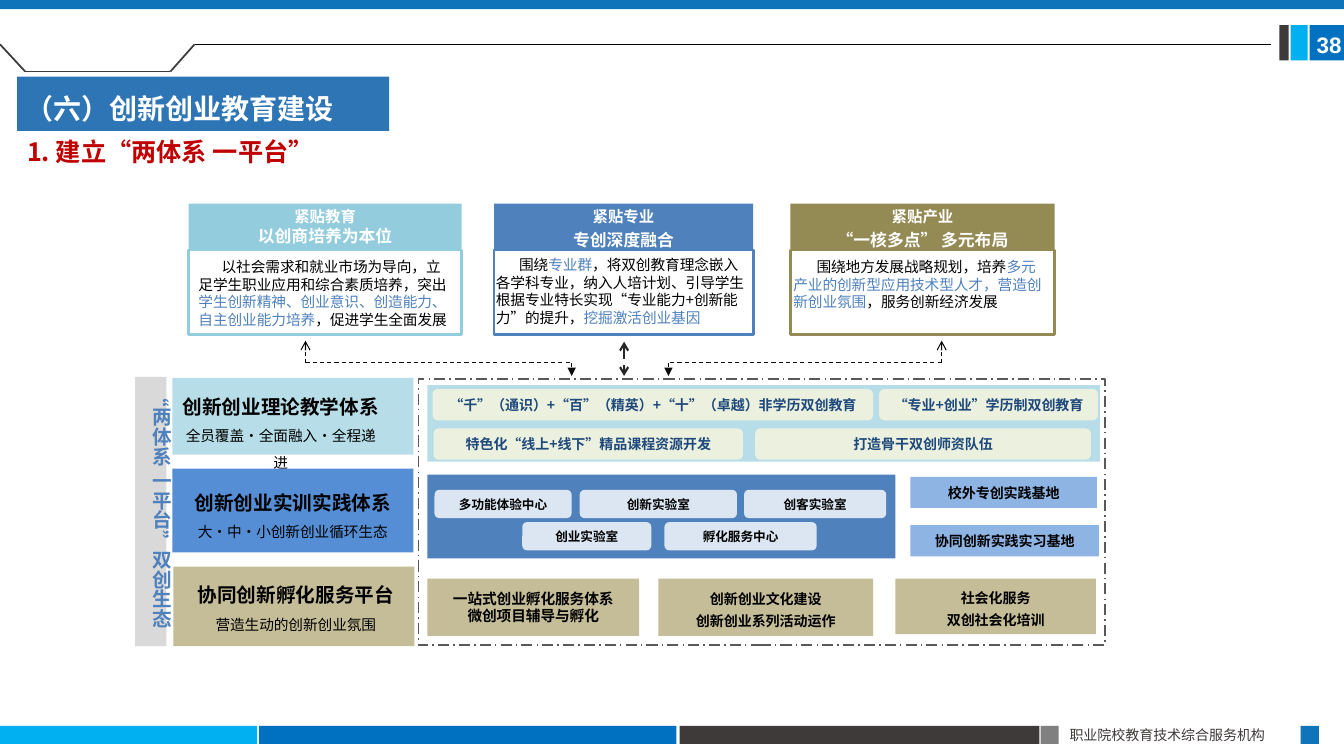
from lxml import etree
from pptx import Presentation
from pptx.dml.color import RGBColor
from pptx.enum.dml import MSO_LINE
from pptx.enum.shapes import MSO_CONNECTOR, MSO_SHAPE
from pptx.enum.text import MSO_ANCHOR, PP_ALIGN
from pptx.oxml.ns import qn
from pptx.util import Inches, Pt

RECTANGLE, ROUNDED = MSO_SHAPE.RECTANGLE, MSO_SHAPE.ROUNDED_RECTANGLE
STRAIGHT = MSO_CONNECTOR.STRAIGHT
DASH, LONG_DASH_DOT = MSO_LINE.DASH, MSO_LINE.LONG_DASH_DOT
TOP, MIDDLE = MSO_ANCHOR.TOP, MSO_ANCHOR.MIDDLE
LEFT, CENTER = PP_ALIGN.LEFT, PP_ALIGN.CENTER

# The grid has 1333 columns and 750 rows; every position below counts its cells.
CELL = Inches(0.01)
COLUMNS, ROWS = 1333, 750

THEME = {
    "font": "Noto Sans CJK SC",
    "number_font": "Arial",
    "colors": {
        "sky": "00B0F0", "blue": "0070C0", "bar": "1074BB", "charcoal": "3E3A39",
        "gray": "808080", "banner": "2E75B6", "aqua": "93CDDD", "steel": "4F81BD",
        "olive": "948A54", "pale_aqua": "B7DEE8", "bright": "558ED5", "khaki": "C4BD97",
        "light_blue": "8EB4E3", "ice": "DCE6F2", "cream": "EBF1DE", "silver": "D9D9D9",
        "black": "000000", "ink": "0D0D0D", "dark": "262626", "frame": "595959",
        "white": "FFFFFF", "navy": "1F497D", "red": "C00000",
    },
    # style: size, colour, bold
    "styles": {
        "page": (16, "white", True), "company": (10, "charcoal", False),
        "section": (20, "white", True), "heading": (18, "red", True),
        "card_top": (11, "white", True), "card_name": (12, "white", True),
        "body": (10.5, "black", False), "accent": (10.5, "steel", False),
        "spine": (14, "steel", True), "system": (14, "black", True),
        "course": (10, "navy", True), "room": (9, "black", True),
        "base": (10, "black", True), "service": (10.5, "black", True),
    },
}


def color(name):
    return RGBColor.from_string(THEME["colors"][name])


def block(area, paragraphs=(), fill=None, outline=None, kind=RECTANGLE, anchor=MIDDLE,
          align=CENTER, spacing=1.0, inset=(10, 5), indent=0, font=THEME["font"]):
    """Add a shape, or a text box when kind is None; paragraphs hold (text, style) runs."""
    place = [CELL * value for value in area]
    if kind is None:
        shape = slide.shapes.add_textbox(*place)
    else:
        shape = slide.shapes.add_shape(kind, *place)
        shape.shadow.inherit = False
        if fill:
            shape.fill.solid()
            shape.fill.fore_color.rgb = color(fill)
        else:
            shape.fill.background()
        if outline:
            shape.line.color.rgb = color(outline)
            shape.line.width = Pt(2)
        else:
            shape.line.fill.background()
    frame = shape.text_frame
    frame.word_wrap = True
    frame.vertical_anchor = anchor
    frame.margin_left = frame.margin_right = CELL * inset[0]
    frame.margin_top = frame.margin_bottom = CELL * inset[1]
    for index, runs in enumerate(paragraphs):
        paragraph = frame.add_paragraph() if index else frame.paragraphs[0]
        paragraph.alignment = align
        paragraph.line_spacing = spacing
        if indent:
            paragraph._p.get_or_add_pPr().set("indent", str(CELL * indent))
        for text, style in runs:
            size, tint, bold = THEME["styles"][style]
            run = paragraph.add_run()
            run.text = text
            run.font.size, run.font.bold, run.font.name = Pt(size), bold, font
            run.font.color.rgb = color(tint)
            east_asian = etree.SubElement(run._r.get_or_add_rPr(), qn("a:ea"))
            east_asian.set("typeface", font)
    return shape


def connect(start, end, tint, width, dash=None, head=None, tail=None):
    connector = slide.shapes.add_connector(STRAIGHT, *[CELL * value for value in start + end])
    connector.line.color.rgb = color(tint)
    connector.line.width = Pt(width)
    if dash:
        connector.line.dash_style = dash
    outline = connector.line._get_or_add_ln()
    for tag, arrow in (("a:headEnd", head), ("a:tailEnd", tail)):
        if arrow:
            etree.SubElement(outline, qn(tag)).set("type", arrow)
    etree.SubElement(connector._element.spPr, qn("a:effectLst"))


presentation = Presentation()
presentation.slide_width, presentation.slide_height = CELL * COLUMNS, CELL * ROWS
slide = presentation.slides.add_slide(presentation.slide_layouts[6])

# Page frame: footer, top bar, page marker and tab line
for left, width, fill in ((0, 255, "sky"), (257, 414, "blue"), (674, 357, "charcoal"),
                          (1032, 18, "gray"), (1290, 18, "bar")):
    block((left, 720, width, 18), fill=fill)
block((1051, 716, 240, 27), [[("职业院校教育技术综合服务机构", "company")]],
      kind=None, anchor=TOP, align=LEFT)
for left, width, fill in ((1299, 34, "blue"), (1280, 17, "sky"), (1269, 9, "charcoal")):
    block((left, 25, width, 35), fill=fill)
block((0, 0, COLUMNS, 9), fill="bar")
tab_points = [(0, 44), (25, 71), (169, 71), (193, 44)]
for start, end in zip(tab_points, tab_points[1:]):
    connect(start, end, "charcoal", 1.25)
connect((193, 44), (1261, 44), "black", 0.5)
block((1306, 31, 27, 27), [[("38", "page")]], kind=None, anchor=TOP, align=LEFT,
      inset=(0, 0), font=THEME["number_font"])

# Three principle cards: left, width, colour, line spacing, titles, body place, body runs
cards = [
    (187, 271, "aqua", 1.0, "紧贴教育", "以创商培养为本位", (187, 251, 271, 81), [
        ("以社会需求和就业市场为导向，立足学生职业应用和综合素质培养，突出", "body"),
        ("学生创新精神、创业意识、创造能力、自主创业能力培养", "accent"),
        ("，促进学生全面发展", "body")]),
    (490, 257, "steel", 1.2, "紧贴专业", "专创深度融合", (482, 249, 271, 81), [
        ("围绕", "body"), ("专业群", "accent"),
        ("，将双创教育理念嵌入各学科专业，纳入人培计划、引导学生根据专业特长实现"
         "“专业能力+创新能力”的提升，", "body"),
        ("挖掘激活创业基因", "accent")]),
    (784, 262, "olive", 1.2, "紧贴产业", "“一核多点” 多元布局", (777, 251, 269, 63), [
        ("围绕地方发展战略规划，培养", "body"),
        ("多元产业的创新型应用技术型人才，营造创新创业氛围", "accent"),
        ("，服务创新经济发展", "body")]),
]
for left, width, tint, spacing, top_line, name, body_area, body in cards:
    block((left, 202, width, 46), [[(top_line, "card_top")], [(name, "card_name")]],
          fill=tint, spacing=spacing, inset=(0, 0))
    block((left, 248, width, 84), outline=tint)
    block(body_area, [body], kind=None, anchor=TOP, align=LEFT, indent=23)

# Dashed links between the cards and the systems
for card_column, system_column in ((303, 567), (934, 663)):
    connect((system_column, 360), (system_column, 373), "ink", 0.75, DASH, tail="triangle")
    connect((card_column, 360), (system_column, 360), "ink", 0.75, DASH)
    connect((card_column, 360), (card_column, 338), "black", 0.75, DASH, tail="arrow")
connect((619, 339), (619, 373), "dark", 1.5, DASH, head="arrow", tail="arrow")

# Left side: vertical title and the three systems
block((134, 374, 31, 267), fill="silver")
spine = block((132, 375, 44, 265), [[("“两体系 一平台”双创生态", "spine")]],
              kind=None, anchor=TOP)
spine.text_frame._txBody.bodyPr.set("vert", "eaVert")
systems = [
    ((171, 375, 239, 76), "pale_aqua", (170, 375, 217, 72),
     "创新创业理论教学体系", "全员覆盖·全面融入·全程递进"),
    ((171, 465, 239, 83), "bright", (172, 470, 237, 72),
     "创新创业实训实践体系", "大·中·小创新创业循环生态"),
    ((172, 562, 239, 79), "khaki", (185, 562, 217, 72),
     "协同创新孵化服务平台", "营造生动的创新创业氛围"),
]
for panel, fill, text_area, name, motto in systems:
    block(panel, fill=fill)
    block(text_area, [[(name, "system")], [(motto, "body")]],
          kind=None, anchor=TOP, spacing=1.5)

# Right side: panels, then the labelled blocks on them
block((424, 382, 667, 76), fill="pale_aqua")
block((424, 471, 464, 83), fill="steel")
labels = [
    ("course", "cream", ROUNDED, 31, [
        (429, 386, 437, "“千”（通识）+“百”（精英）+“十”（卓越）非学历双创教育"),
        (872, 386, 217, "“专业+创业”学历制双创教育"),
        (430, 425, 307, "特色化“线上+线下”精品课程资源开发"),
        (749, 425, 333, "打造骨干双创师资队伍")]),
    ("room", "ice", ROUNDED, 28, [
        (431, 486, 136, "多功能体验中心"), (575, 486, 156, "创新实验室"),
        (738, 486, 141, "创客实验室"), (518, 518, 128, "创业实验室"),
        (659, 518, 151, "孵化服务中心")]),
    ("base", "light_blue", RECTANGLE, 31, [
        (903, 473, 185, "校外专创实践基地"), (903, 521, 187, "协同创新实践实习基地")]),
]
for style, fill, kind, height, items in labels:
    for left, top, width, text in items:
        block((left, top, width, height), [[(text, style)]], fill=fill, kind=kind)

services = [
    (424, 210, 57, "service", 1.0, "一站式创业孵化服务体系", "微创项目辅导与孵化"),
    (653, 213, 57, "base", 1.3, "创新创业文化建设", "创新创业系列活动运作"),
    (888, 199, 55, "base", 1.3, "社会化服务", "双创社会化培训"),
]
for left, width, height, style, spacing, *texts in services:
    block((left, 574, width, height), [[(text, style)] for text in texts],
          fill="khaki", spacing=spacing)

outer_frame = block((415, 376, 681, 264), outline="frame")
outer_frame.line.width = Pt(1)
outer_frame.line.dash_style = LONG_DASH_DOT

# Section banner and heading
block((17, 76, 369, 54), fill="banner")
block((15, 76, 368, 54), [[("（六）创新创业教育建设", "section")]],
      kind=None, anchor=TOP, align=LEFT, spacing=1.3)
block((17, 130, 311, 40), [[("1. 建立“两体系 一平台”", "heading")]],
      kind=None, anchor=TOP, align=LEFT)

presentation.save("out.pptx")
